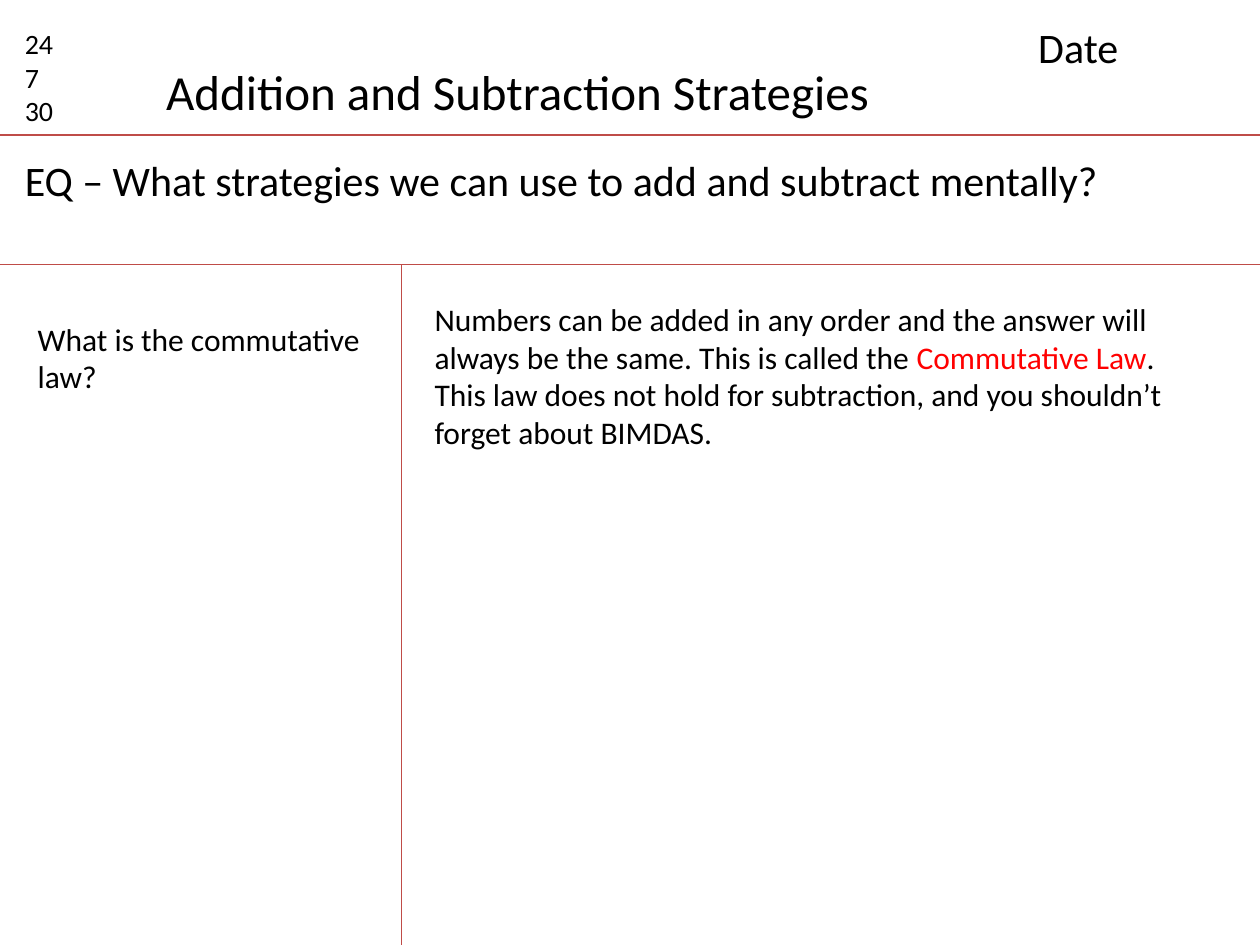
from lxml.etree import SubElement
from pptx import Presentation
from pptx.dml.color import RGBColor
from pptx.enum.shapes import MSO_CONNECTOR
from pptx.enum.text import MSO_AUTO_SIZE as FIT
from pptx.oxml.ns import qn
from pptx.util import Cm, Pt

BLACK = RGBColor(0, 0, 0)
RED = RGBColor(0xFF, 0, 0)
RULE = RGBColor(0xBF, 0x4C, 0x48)
FONT = "Calibri"

WIDE, HIGH = 25.4, 19.05
HEAD, BODY, SPLIT = 2.72, 5.33, 8.1  # header rule, question rule, column rule

# left, top, width, height in cm; size; wrap; paragraphs of (text, colour) runs
TEXTS = [
    ((0.25, 0.41, 1.6, 2.31), 16, True,
     [[("24", BLACK)], [("7", BLACK)], [("30", BLACK)]]),
    ((3.1, 1.12, 14.86, 1.45), 28, False,
     [[("Addition and Subtraction Strategies", BLACK)]]),
    ((20.68, 0.3, 4.39, 1.27), 24, True, [[("Date", BLACK)]]),
    ((0.25, 3, 23.95, 1.27), 24, True,
     [[("EQ – What strategies we can use to add and subtract mentally?", BLACK)]]),
    ((8.51, 5.92, 16.21, 3.33), 18, True,
     [[("Numbers can be added in any order and the answer will always be "
        "the same. This is called the ", BLACK),
       ("Commutative Law", RED), (".", BLACK)],
      [("This law does not hold for subtraction, and you shouldn’t "
        "forget about BIMDAS.", BLACK)]]),
    ((0.51, 6.32, 7.19, 1.8), 18, True,
     [[("What is the commutative law?", BLACK)]]),
]
LINES = [
    (0, HEAD, WIDE, HEAD),
    (0, BODY, WIDE, BODY),
    (SPLIT, BODY, SPLIT, HIGH),
]


def add_line(slide, ends):
    line = slide.shapes.add_connector(MSO_CONNECTOR.STRAIGHT, *map(Cm, ends))
    line.line.color.rgb = RULE
    line.line.width = Pt(0.75)
    SubElement(line._element.spPr, qn("a:effectLst"))


def add_text(slide, place, size, wrap, paras):
    frame = slide.shapes.add_textbox(*map(Cm, place)).text_frame
    frame.word_wrap = wrap
    frame.auto_size = FIT.SHAPE_TO_FIT_TEXT
    for i, runs in enumerate(paras):
        para = frame.add_paragraph() if i else frame.paragraphs[0]
        for text, color in runs:
            run = para.add_run()
            run.text = text
            run.font.name = FONT
            run.font.size = Pt(size)
            run.font.color.rgb = color


def main():
    deck = Presentation()
    deck.slide_width, deck.slide_height = Cm(WIDE), Cm(HIGH)
    slide = deck.slides.add_slide(deck.slide_layouts[6])
    for ends in LINES:
        add_line(slide, ends)
    for item in TEXTS:
        add_text(slide, *item)
    deck.save("out.pptx")


if __name__ == "__main__":
    main()
